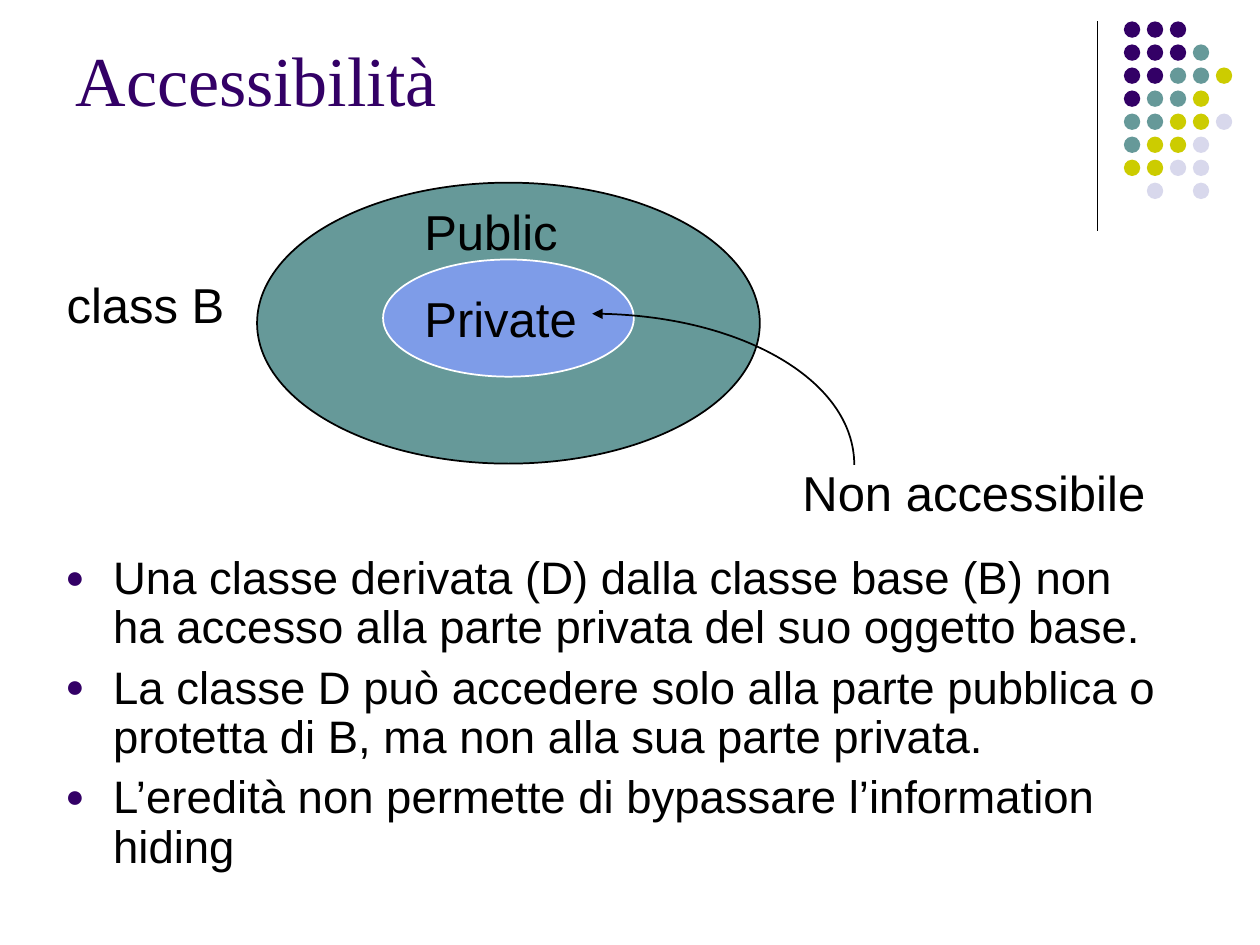
from lxml.etree import SubElement
from pptx import Presentation
from pptx.dml.color import RGBColor
from pptx.enum.shapes import MSO_CONNECTOR, MSO_SHAPE
from pptx.enum.text import MSO_ANCHOR, MSO_AUTO_SIZE, PP_ALIGN
from pptx.oxml.ns import qn
from pptx.util import Inches, Pt

PURPLE = RGBColor(0x33, 0x00, 0x66)
TEAL = RGBColor(0x66, 0x99, 0x99)
OLIVE = RGBColor(0xCC, 0xCC, 0x00)
LILAC = RGBColor(0xD8, 0xD8, 0xEC)
BLUE = RGBColor(0x7E, 0x9C, 0xE8)
BLACK = RGBColor(0x00, 0x00, 0x00)
WHITE = RGBColor(0xFF, 0xFF, 0xFF)

deck = Presentation()
deck.slide_width, deck.slide_height = Inches(10), Inches(7.5)
slide = deck.slides.add_slide(deck.slide_layouts[5])
shapes = slide.shapes


def add_oval(left, top, width, height, fill, edge=None):
    oval = shapes.add_shape(MSO_SHAPE.OVAL, Inches(left), Inches(top),
                            Inches(width), Inches(height))
    oval.shadow.inherit = False
    oval.fill.solid()
    oval.fill.fore_color.rgb = fill
    if edge is None:
        oval.line.fill.background()
    else:
        oval.line.color.rgb = edge
        oval.line.width = Pt(1)


def style(para, size, face, color):
    for name, value in {"size": Pt(size), "name": face}.items():
        setattr(para.font, name, value)
    para.font.color.rgb = color
    para.alignment = PP_ALIGN.LEFT


# Corner rule and dot pattern
rule = shapes.add_connector(MSO_CONNECTOR.STRAIGHT, Inches(8.71), Inches(0.17),
                            Inches(8.71), Inches(1.83))
rule.line.color.rgb = BLACK
rule.line.width = Pt(0.75)
SubElement(rule._element.spPr, qn("a:effectLst"))

tints = {"P": PURPLE, "T": TEAL, "O": OLIVE, "L": LILAC}
dots = ["PPP", "PPPT", "PPTTO", "PTTO", "TTOOL", "TOOL", "OOLL", ".L.L"]
for row, marks in enumerate(dots):
    for col, mark in enumerate(marks):
        if mark in tints:
            add_oval(8.92 + col * 1.46 / 8, 0.17 + row * 1.28 / 7,
                     0.13, 0.13, tints[mark])

# Title
title = shapes.title
title.left, title.top = Inches(0.5), Inches(0.08)
title.width, title.height = Inches(8.83), Inches(1.08)
frame = title.text_frame
frame.text = "Accessibilità"
frame.auto_size = MSO_AUTO_SIZE.NONE
frame.vertical_anchor = MSO_ANCHOR.MIDDLE
style(frame.paragraphs[0], 40, "Times New Roman", PURPLE)

# Class diagram
add_oval(2.04, 1.45, 3.99, 2.23, TEAL, BLACK)
add_oval(3.04, 2.06, 1.99, 0.93, BLUE, WHITE)

labels = [
    ("Private", 3.27, 2.24, 1.41),
    ("Public", 3.27, 1.55, 1.26),
    ("Non accessibile", 6.27, 3.62, 2.92),
    ("class B", 0.43, 2.13, 1.45),
]
for text, left, top, width in labels:
    box = shapes.add_textbox(Inches(left), Inches(top), Inches(width), Inches(0.56))
    frame = box.text_frame
    frame.text = text
    frame.word_wrap = False
    frame.auto_size = MSO_AUTO_SIZE.SHAPE_TO_FIT_TEXT
    style(frame.paragraphs[0], 28, "Arial", BLACK)

# Curved arrow: the three points after the start become one Bezier segment
start, *bends = [(Inches(x), Inches(y)) for x, y in
                 [(4.7, 2.49), (5.85, 2.49), (6.78, 3.02), (6.78, 3.69)]]
pen = shapes.build_freeform(*start)
pen.add_line_segments(bends, close=False)
arrow = pen.convert_to_shape()
arrow.shadow.inherit = False
arrow.fill.background()
arrow.line.color.rgb = BLACK
arrow.line.width = Pt(1)
SubElement(arrow.line._get_or_add_ln(), qn("a:headEnd"), type="triangle")
track = next(arrow._element.iter(qn("a:path")))
curve = SubElement(track, qn("a:cubicBezTo"))
for step in track.findall(qn("a:lnTo")):
    curve.append(step[0])
    track.remove(step)

# Bullets
points = [
    "Una classe derivata (D) dalla classe base (B) non ha accesso alla parte "
    "privata del suo oggetto base.",
    "La classe D può accedere solo alla parte pubblica o protetta di B, ma non "
    "alla sua parte privata.",
    "L’eredità non permette di bypassare l’information hiding",
]
body = shapes.add_textbox(Inches(0.42), Inches(4.36), Inches(9), Inches(2.8))
frame = body.text_frame
frame.word_wrap = True
frame.text = "\n".join(points)
for index, para in enumerate(frame.paragraphs):
    props = para._p.get_or_add_pPr()
    props.set("marL", str(Inches(0.38)))
    props.set("indent", str(Inches(-0.38)))
    tint = SubElement(props, qn("a:buClr"))
    SubElement(tint, qn("a:srgbClr"), val=str(PURPLE))
    SubElement(props, qn("a:buSzPct"), val="70000")
    SubElement(props, qn("a:buFont"), typeface="Arial")
    SubElement(props, qn("a:buChar"), char="●")
    para.line_spacing = 0.9
    para.space_before = Pt(6.5 if index else 0)
    style(para, 26, "Arial", BLACK)

deck.save("out.pptx")
